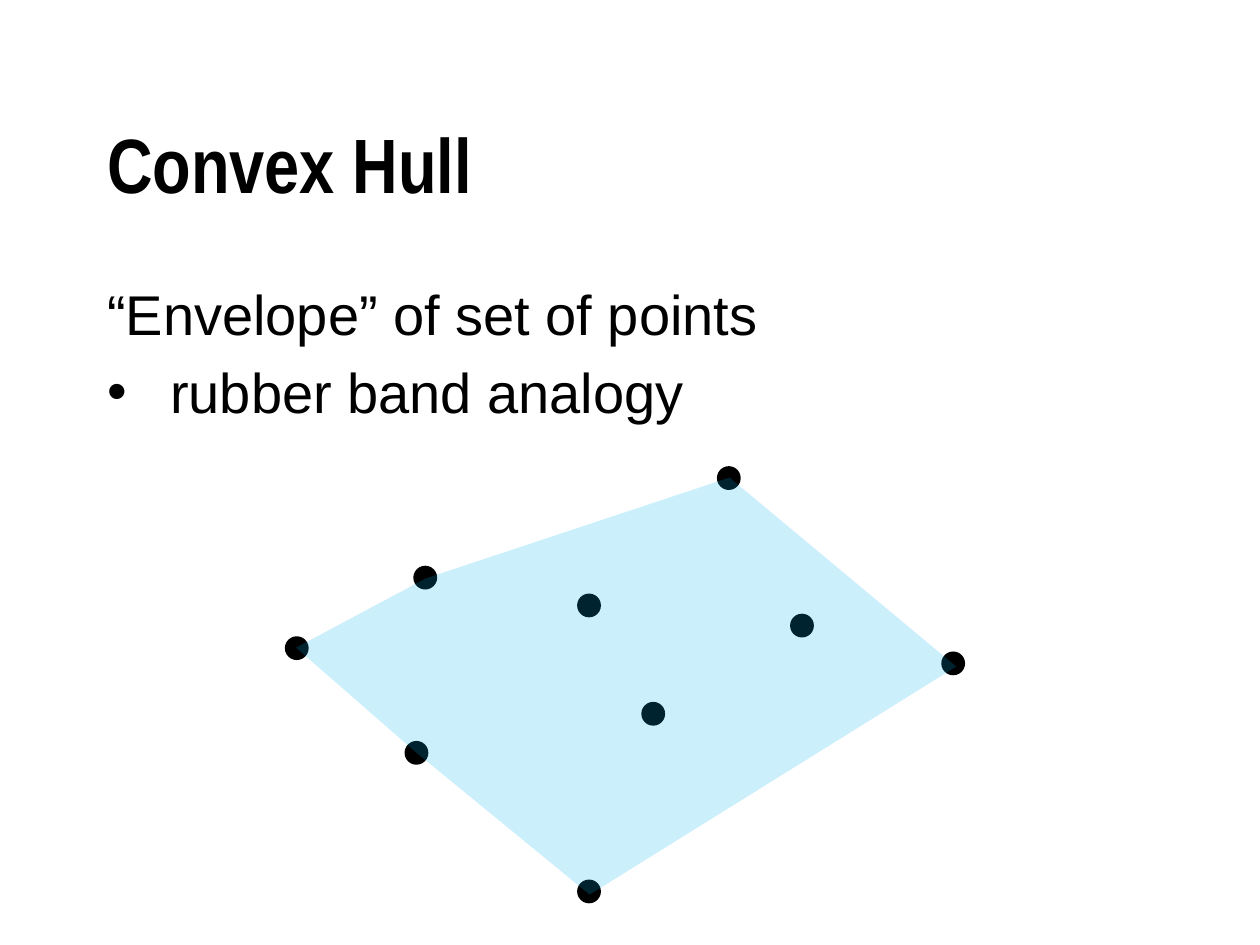
from lxml.etree import SubElement
from pptx import Presentation
from pptx.dml.color import RGBColor
from pptx.enum.shapes import MSO_SHAPE as Preset
from pptx.enum.text import MSO_ANCHOR as Anchor, MSO_AUTO_SIZE as AutoSize, PP_ALIGN as Align
from pptx.oxml.ns import qn
from pptx.util import Pt

BLACK = RGBColor(0x00, 0x00, 0x00)
HULL_BLUE = RGBColor(0x00, 0xB0, 0xF0)
DOT_SIZE = 13.6

# Centres of the dots, in points
HULL_DOTS = [(169.6, 370.4), (238, 430.2), (336.6, 509.4),
             (544.7, 379.1), (416.5, 273.2), (243, 330.1)]
INNER_DOTS = [(336.6, 346), (373.3, 407.9), (458.3, 357.5)]
HULL_CORNERS = [(169.2, 370.1), (237.6, 429.8), (337, 511.2),
                (546.5, 380.9), (416.9, 272.9), (243.4, 330.5)]


def write(paragraph, text, font, size, bold=False, space=0, hanging=0, bullet=None):
    """Fill a paragraph; hanging is the indent of the text behind its bullet."""
    run = paragraph.add_run()
    run.text = text
    run.font.name = font
    run.font.size = Pt(size)
    run.font.bold = bold
    run.font.color.rgb = BLACK
    paragraph.alignment = Align.LEFT
    paragraph.space_before = Pt(space)
    properties = paragraph._p.get_or_add_pPr()
    properties.set("marL", str(Pt(hanging)))
    properties.set("indent", str(-Pt(hanging)))
    if bullet:
        SubElement(properties, qn("a:buChar")).set("char", bullet)
    else:
        SubElement(properties, qn("a:buNone"))


def paint(shape, color):
    shape.shadow.inherit = False
    shape.fill.solid()
    shape.fill.fore_color.rgb = color
    shape.line.fill.background()


presentation = Presentation()
presentation.slide_width = Pt(720)
presentation.slide_height = Pt(540)
slide = presentation.slides.add_slide(presentation.slide_layouts[1])

title = slide.shapes.title
body = slide.placeholders[1]
for placeholder, top, height, anchor in [(title, 48, 90, Anchor.MIDDLE),
                                         (body, 156, 324, Anchor.TOP)]:
    placeholder.left, placeholder.top = Pt(54), Pt(top)
    placeholder.width, placeholder.height = Pt(612), Pt(height)
    placeholder.text_frame.vertical_anchor = anchor
    placeholder.text_frame.auto_size = AutoSize.NONE

write(title.text_frame.paragraphs[0], "Convex Hull", font="Arial Narrow", size=44, bold=True)
write(body.text_frame.paragraphs[0], "“Envelope” of set of points",
      font="Arial", size=32, space=6.4, hanging=27)
write(body.text_frame.add_paragraph(), "rubber band analogy",
      font="Arial", size=32, space=6.4, hanging=36, bullet="•")

for x, y in HULL_DOTS + INNER_DOTS:
    dot = slide.shapes.add_shape(Preset.OVAL, Pt(x - DOT_SIZE / 2), Pt(y - DOT_SIZE / 2),
                                 Pt(DOT_SIZE), Pt(DOT_SIZE))
    paint(dot, BLACK)

corners = [(Pt(x), Pt(y)) for x, y in HULL_CORNERS]
builder = slide.shapes.build_freeform(*corners[0])
builder.add_line_segments(corners[1:], close=True)
hull = builder.convert_to_shape()
paint(hull, HULL_BLUE)
hull_color = hull._element.spPr.find(qn("a:solidFill")).find(qn("a:srgbClr"))
SubElement(hull_color, qn("a:alpha")).set("val", "20000")

presentation.save("out.pptx")
